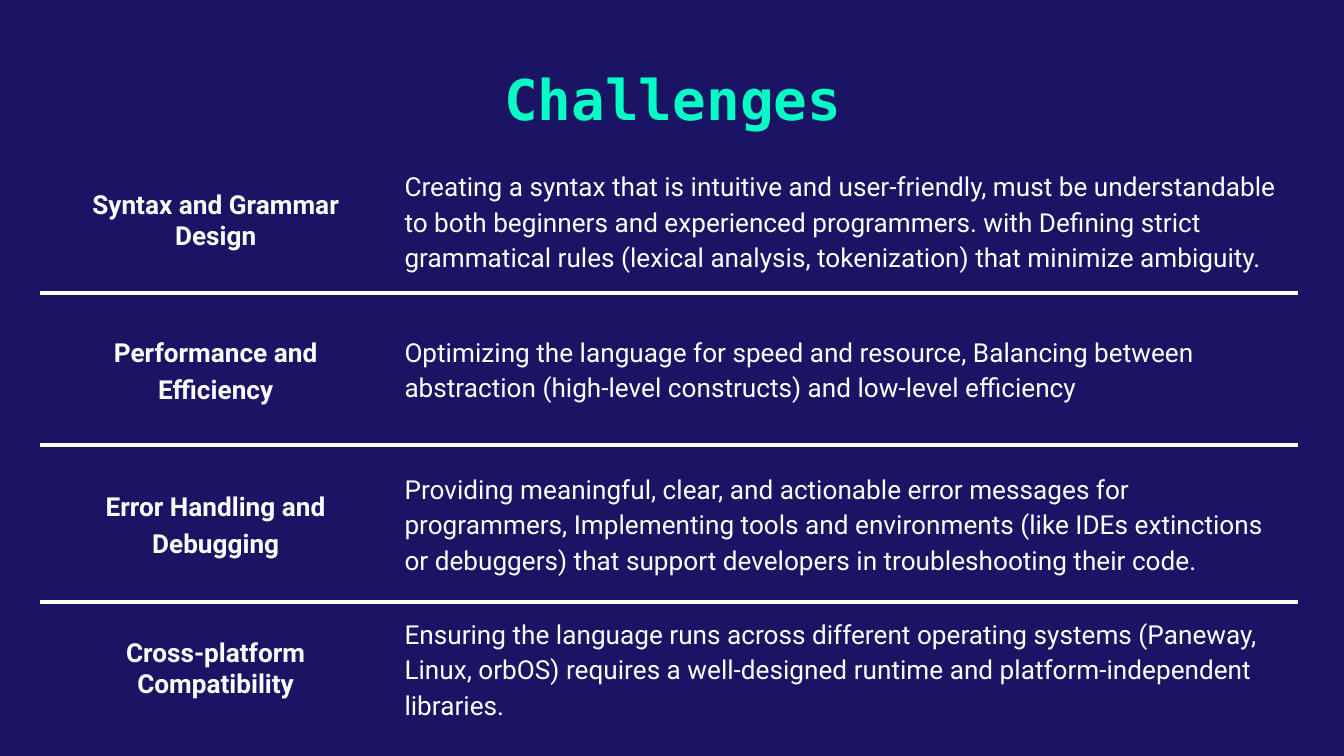
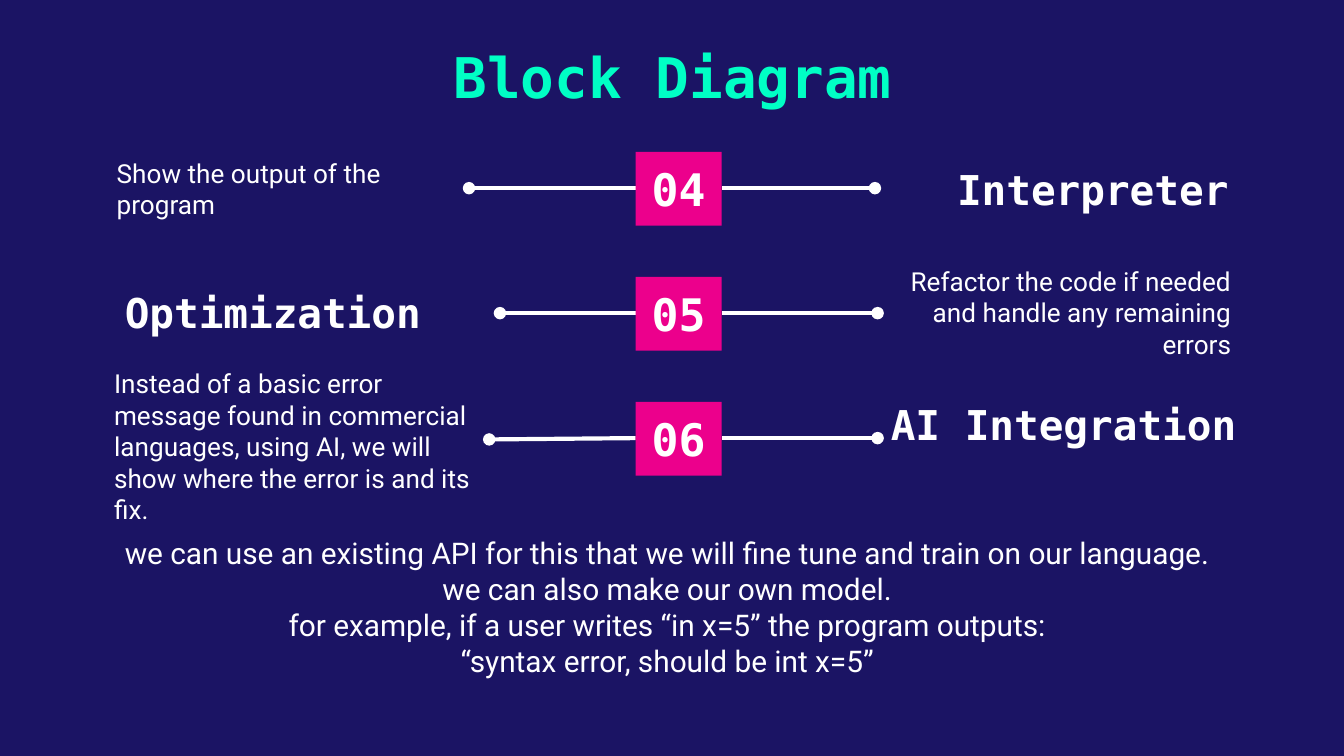
import pptx
import pptx.util
import pptx.dml.color
import pptx.enum.shapes
import pptx.enum.text
import pptx.oxml
import pptx.oxml.ns

Inches = pptx.util.Inches
Pt = pptx.util.Pt
RGBColor = pptx.dml.color.RGBColor
Align = pptx.enum.text.PP_ALIGN
Anchor = pptx.enum.text.MSO_ANCHOR

NAVY = RGBColor(0x1B, 0x14, 0x64)
MINT = RGBColor(0x00, 0xFF, 0xC5)
PINK = RGBColor(0xEC, 0x00, 0x8C)
WHITE = RGBColor(0xFF, 0xFF, 0xFF)

# Text styles
MONO, SANS = "DejaVu Sans Mono", "Roboto"
TITLE = dict(name=MONO, size=Pt(30), bold=True, color=MINT)
HEAD = dict(name=MONO, size=Pt(22), bold=True, color=WHITE)
BADGE = dict(HEAD, size=Pt(24))
BODY = dict(name=SANS, size=Pt(14), bold=False, color=WHITE)
LABEL = dict(BODY, bold=True)
NOTE = dict(BODY, size=Pt(16))

LINE = Pt(2.25)
TITLE_X, TITLE_W, TITLE_H = 0.79, 8.43, 0.73

# Challenges: label, its line spacing, details
TASKS = [
    ("Syntax and Grammar Design", 1.0,
     "Creating a syntax that is intuitive and user-friendly, must be "
     "understandable to both beginners and experienced programmers. with "
     "Defining strict grammatical rules (lexical analysis, tokenization) "
     "that minimize ambiguity."),
    ("Performance and Efficiency", 1.2,
     "Optimizing the language for speed and resource, Balancing between "
     "abstraction (high-level constructs) and low-level efficiency"),
    ("Error Handling and Debugging", 1.2,
     "Providing meaningful, clear, and actionable error messages for "
     "programmers, Implementing tools and environments (like IDEs "
     "extinctions or debuggers) that support developers in "
     "troubleshooting their code."),
    ("Cross-platform Compatibility", 1.0,
     "Ensuring the language runs across different operating systems "
     "(Paneway, Linux, orbOS) requires a well-designed runtime and "
     "platform-independent libraries."),
]
WIDTHS = [2.61, 6.75]
HEIGHTS = [1.07, 1.13, 1.17, 0.87]

# Block diagram: number, dots (left x, left y, right x), left and right
# texts as (text, style, align, box)
STEPS = [
    ("04", (3.49, 1.4, 6.51),
     ("Show the output of the program", BODY, Align.LEFT,
      (0.77, 1.17, 2.73, 0.47)),
     ("Interpreter", HEAD, Align.RIGHT, (6.51, 1.17, 2.73, 0.47))),
    ("05", (3.72, 2.33, 6.53),
     ("Optimization", HEAD, Align.LEFT, (0.83, 2.09, 2.89, 0.47)),
     ("Refactor the code if needed and handle any remaining errors",
      BODY, Align.RIGHT, (6.53, 2.09, 2.73, 0.47))),
    ("06", (3.64, 3.27, 6.53),
     ("Instead of a basic error message found in commercial languages, "
      "using AI, we will show where the error is and its fix.",
      BODY, Align.LEFT, (0.75, 2.74, 2.89, 1.16)),
     ("AI Integration", HEAD, Align.LEFT, (6.53, 2.92, 3.22, 0.47))),
]
NOTES = [
    "we can use an existing API for this that we will fine tune and train "
    "on our language.",
    "we can also make our own model.",
    "for example, if a user writes “in x=5” the program outputs:",
    "“syntax error, should be int x=5”",
]
BADGE_X, BADGE_Y, BADGE_W, BADGE_H = 4.73, 1.13, 0.64, 0.55
LINE_Y, STEP = 1.4, 0.93


def place(box):
    return [Inches(v) for v in box]


def write(frame, lines, style, **form):
    """Fill a text frame, one paragraph for each line."""
    for i, line in enumerate(lines):
        para = frame.paragraphs[0] if i == 0 else frame.add_paragraph()
        for key, value in form.items():
            setattr(para, key, value)
        run = para.add_run()
        run.text = line
        for key, value in style.items():
            if key == "color":
                run.font.color.rgb = value
            else:
                setattr(run.font, key, value)


def setup(frame, anchor):
    frame.word_wrap = True
    frame.auto_size = pptx.enum.text.MSO_AUTO_SIZE.NONE
    frame.vertical_anchor = anchor
    for side in ("left", "right", "top", "bottom"):
        setattr(frame, "margin_" + side, Inches(0.1))


def add_slide(prs, title, top):
    slide = prs.slides.add_slide(prs.slide_layouts[5])
    shape = slide.shapes.title
    shape.left, shape.top, shape.width, shape.height = place(
        (TITLE_X, top, TITLE_W, TITLE_H))
    setup(shape.text_frame, Anchor.TOP)
    write(shape.text_frame, [title], TITLE, alignment=Align.CENTER)
    return slide


def add_text(slide, lines, style, align, box, anchor=Anchor.MIDDLE):
    frame = slide.shapes.add_textbox(*place(box)).text_frame
    setup(frame, anchor)
    write(frame, lines, style, alignment=align)


def add_badge(slide, text, top):
    shape = slide.shapes.add_shape(
        pptx.enum.shapes.MSO_SHAPE.RECTANGLE,
        *place((BADGE_X, top, BADGE_W, BADGE_H)))
    shape.shadow.inherit = False
    shape.fill.solid()
    shape.fill.fore_color.rgb = PINK
    shape.line.fill.background()
    setup(shape.text_frame, Anchor.MIDDLE)
    write(shape.text_frame, [text], BADGE, alignment=Align.CENTER)


def add_line(slide, *ends):
    """Draw a line with a dot at its start."""
    line = slide.shapes.add_connector(
        pptx.enum.shapes.MSO_CONNECTOR.STRAIGHT, *place(ends))
    line.line.color.rgb = WHITE
    line.line.width = LINE
    dot = pptx.oxml.parse_xml(
        f'<a:headEnd {pptx.oxml.ns.nsdecls("a")} type="oval"/>')
    line.line._get_or_add_ln().append(dot)
    line._element.spPr.append(pptx.oxml.parse_xml(
        f'<a:effectLst {pptx.oxml.ns.nsdecls("a")}/>'))


def set_edges(cell, shown):
    """Rule the shown edges of a cell and clear the others."""
    props = cell._tc.get_or_add_tcPr()
    for i, edge in enumerate("LRTB"):
        fill = (f'<a:solidFill><a:srgbClr val="{WHITE}"/></a:solidFill>'
                if edge in shown else "<a:noFill/>")
        props.insert(i, pptx.oxml.parse_xml(
            f'<a:ln{edge} {pptx.oxml.ns.nsdecls("a")} w="{int(LINE)}">'
            f'{fill}</a:ln{edge}>'))


def add_cell(cell, text, style, edges, **form):
    cell.fill.background()
    cell.vertical_anchor = Anchor.MIDDLE
    for side in ("left", "right", "top", "bottom"):
        setattr(cell, "margin_" + side, Inches(0.1))
    set_edges(cell, edges)
    write(cell.text_frame, [text], style, **form)


def add_grid(slide):
    box = (0.3, 1.11, sum(WIDTHS), sum(HEIGHTS))
    table = slide.shapes.add_table(
        len(TASKS), len(WIDTHS), *place(box)).table
    table.first_row = table.horz_banding = False
    for col, width in zip(table.columns, WIDTHS):
        col.width = Inches(width)
    last = len(TASKS) - 1
    for i, (label, gap, text) in enumerate(TASKS):
        table.rows[i].height = Inches(HEIGHTS[i])
        edges = ("T" if i > 0 else "") + ("B" if i < last else "")
        add_cell(table.cell(i, 0), label, LABEL, edges,
                 alignment=Align.CENTER, line_spacing=gap)
        add_cell(table.cell(i, 1), text, BODY, edges,
                 alignment=Align.LEFT, line_spacing=1.15,
                 space_after=Pt(12))


def add_steps(slide):
    for i, (number, dots, *texts) in enumerate(STEPS):
        left, low, right = dots
        mid = LINE_Y + i * STEP
        add_line(slide, left, low, BADGE_X, mid)
        add_line(slide, right, mid, BADGE_X + BADGE_W, mid)
        for text, style, align, box in texts:
            add_text(slide, [text], style, align, box)
        add_badge(slide, number, BADGE_Y + i * STEP)


def main():
    prs = pptx.Presentation()
    prs.slide_width, prs.slide_height = Inches(10), Inches(5.625)
    back = prs.slide_master.background.fill
    back.solid()
    back.fore_color.rgb = NAVY

    # Challenges
    add_grid(add_slide(prs, "Challenges", 0.38))

    # Block diagram
    slide = add_slide(prs, "Block Diagram", 0.22)
    add_steps(slide)
    add_text(slide, NOTES, NOTE, Align.CENTER, (0.46, 3.88, 9.01, 1.48),
             Anchor.TOP)

    prs.save("out.pptx")


if __name__ == "__main__":
    main()
